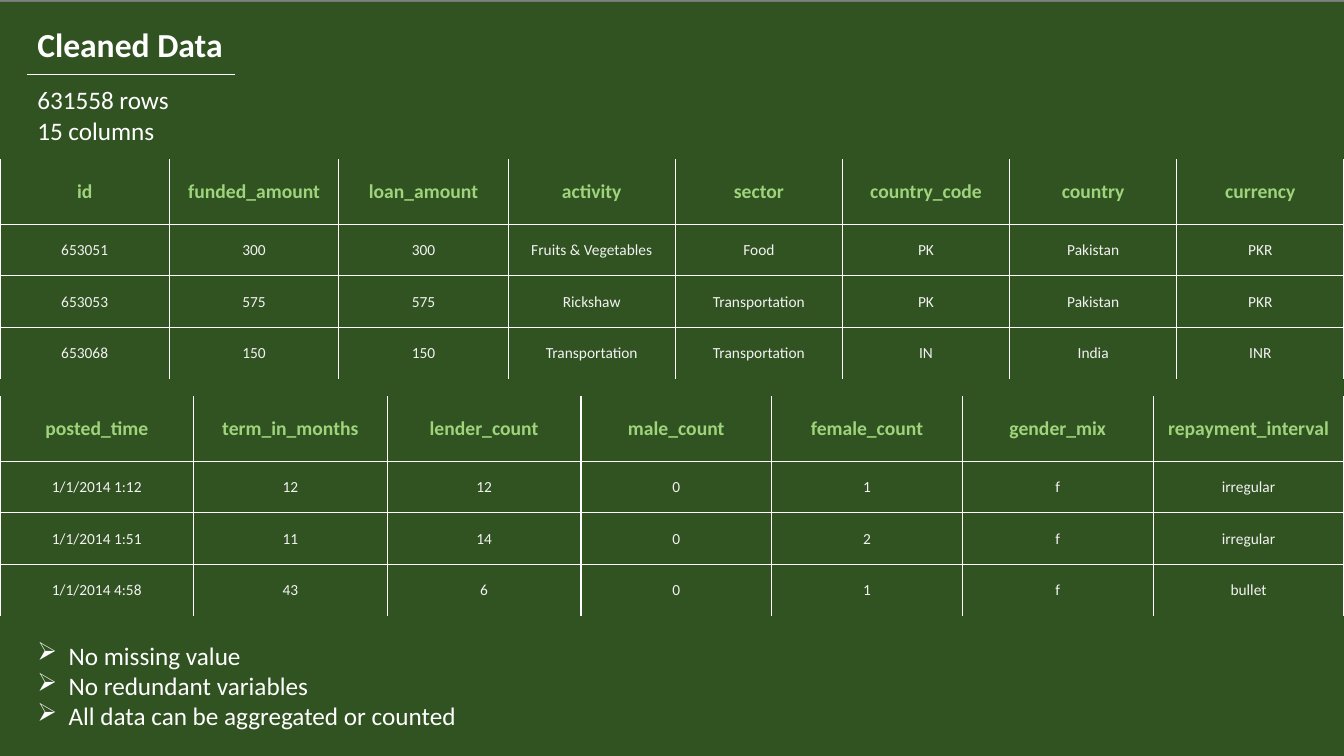
import lxml.etree
import pptx
import pptx.dml.color
import pptx.enum.shapes
import pptx.enum.text
import pptx.oxml
import pptx.oxml.ns
import pptx.util

Cm = pptx.util.Cm
Pt = pptx.util.Pt
qn = pptx.oxml.ns.qn
WIDE, HIGH = 33.87, 19.05
FONT = "Calibri"
PLAIN = "{2D5ABB26-0587-4C30-8999-92F81FD0307C}"  # table style without grid
COLORS = {
    "green": "64A544",
    "black": "000000",
    "white": "FFFFFF",
    "head": "9FD47D",
    "body": "F2F2F2",
}


def add_run(para, text, size, color, bold=False):
    run = para.add_run()
    run.text = text
    run.font.name = FONT
    run.font.size = Pt(size)
    run.font.bold = bold
    run.font.color.rgb = pptx.dml.color.RGBColor.from_string(COLORS[color])


def add_edge(props, side, place):
    """Draw one white cell border; place is its order in the cell properties."""
    edge = lxml.etree.Element(qn("a:ln" + side), w=str(Pt(1)))
    fill = lxml.etree.SubElement(edge, qn("a:solidFill"))
    lxml.etree.SubElement(fill, qn("a:srgbClr"), val=COLORS["white"])
    props.insert(place, edge)


prs = pptx.Presentation()
prs.slide_width, prs.slide_height = Cm(WIDE), Cm(HIGH)
slide = prs.slides.add_slide(prs.slide_layouts[6])
shapes = slide.shapes

# Green ground under a half-clear black veil
for top, color, alpha in [(0.05, "green", 100), (0, "black", 50)]:
    panel = shapes.add_shape(
        pptx.enum.shapes.MSO_SHAPE.RECTANGLE, 0, Cm(top), Cm(WIDE), Cm(HIGH - top))
    panel.shadow.inherit = False
    panel.line.fill.background()
    panel.fill.solid()
    panel.fill.fore_color.rgb = pptx.dml.color.RGBColor.from_string(COLORS[color])
    if alpha < 100:
        tint = panel.element.spPr.find(qn("a:solidFill"))[0]
        lxml.etree.SubElement(tint, qn("a:alpha"), val=str(alpha * 1000))

# Title, size of the data, findings: top, width, height, size, bold, bullet, lines
notes = [
    (0.48, 7.65, 1.27, 24, True, False, ["Cleaned Data"]),
    (2.01, 7.65, 1.8, 18, False, False, ["631558 rows", "15 columns"]),
    (16, 25.65, 2.57, 18, False, True, [
        "No missing value",
        "No redundant variables",
        "All data can be aggregated or counted",
    ]),
]
for top, width, height, size, bold, bullet, lines in notes:
    box = shapes.add_textbox(Cm(0.69), Cm(top), Cm(width), Cm(height))
    frame = box.text_frame
    frame.word_wrap = True
    frame.auto_size = pptx.enum.text.MSO_AUTO_SIZE.SHAPE_TO_FIT_TEXT
    for i, line in enumerate(lines):
        para = frame.add_paragraph() if i else frame.paragraphs[0]
        add_run(para, line, size, "white", bold)
        if bullet:
            props = para._p.get_or_add_pPr()
            props.set("marL", str(Cm(0.79)))
            props.set("indent", str(-Cm(0.79)))
            lxml.etree.SubElement(props, qn("a:buChar"), char="➢")

rule = shapes.add_connector(
    pptx.enum.shapes.MSO_CONNECTOR.STRAIGHT, Cm(0.69), Cm(1.88), Cm(5.92), Cm(1.88))
rule.line.width = Pt(1)
rule.line.color.rgb = pptx.dml.color.RGBColor.from_string(COLORS["white"])
lxml.etree.SubElement(rule.element.spPr, qn("a:effectLst"))

# Sample rows: top, width of the first three columns, rows
tables = [
    (4.01, 4.27, [
        ["id", "funded_amount", "loan_amount", "activity", "sector",
         "country_code", "country", "currency"],
        ["653051", "300", "300", "Fruits & Vegetables", "Food",
         "PK", "Pakistan", "PKR"],
        ["653053", "575", "575", "Rickshaw", "Transportation",
         "PK", "Pakistan", "PKR"],
        ["653068", "150", "150", "Transportation", "Transportation",
         "IN", "India", "INR"],
    ]),
    (9.98, 4.88, [
        ["posted_time", "term_in_months", "lender_count", "male_count",
         "female_count", "gender_mix", "repayment_interval"],
        ["1/1/2014 1:12", "12", "12", "0", "1", "f", "irregular"],
        ["1/1/2014 1:51", "11", "14", "0", "2", "f", "irregular"],
        ["1/1/2014 4:58", "43", "6", "0", "1", "f", "bullet"],
    ]),
]
for top, lead, rows in tables:
    count, last = len(rows[0]), len(rows) - 1
    grid = shapes.add_table(len(rows), count, 0, Cm(top), Cm(WIDE), Cm(5.54))
    table = grid.table
    table.first_row = table.horz_banding = False
    table._tbl.tblPr.find(qn("a:tableStyleId")).text = PLAIN
    rest = (WIDE - 3 * lead) / (count - 3)
    for c, col in enumerate(table.columns):
        col.width = Cm(lead if c < 3 else rest)
    for r, row in enumerate(rows):
        table.rows[r].height = Cm(1.3 if r else 1.64)
        # The outer top and bottom edges stay open
        sides = "LR" + ("T" if r > 0 else "") + ("B" if r < last else "")
        for c, text in enumerate(row):
            cell = table.cell(r, c)
            cell.margin_left = cell.margin_right = cell.margin_top = Cm(0.02)
            cell.margin_bottom = 0
            cell.vertical_anchor = pptx.enum.text.MSO_ANCHOR.MIDDLE
            cell.fill.background()
            for place, side in enumerate(sides):
                add_edge(cell._tc.get_or_add_tcPr(), side, place)
            para = cell.text_frame.paragraphs[0]
            para.alignment = pptx.enum.text.PP_ALIGN.CENTER
            if r:
                add_run(para, text, 11, "body")
            else:
                add_run(para, text, 14, "head", True)

prs.save("out.pptx")
